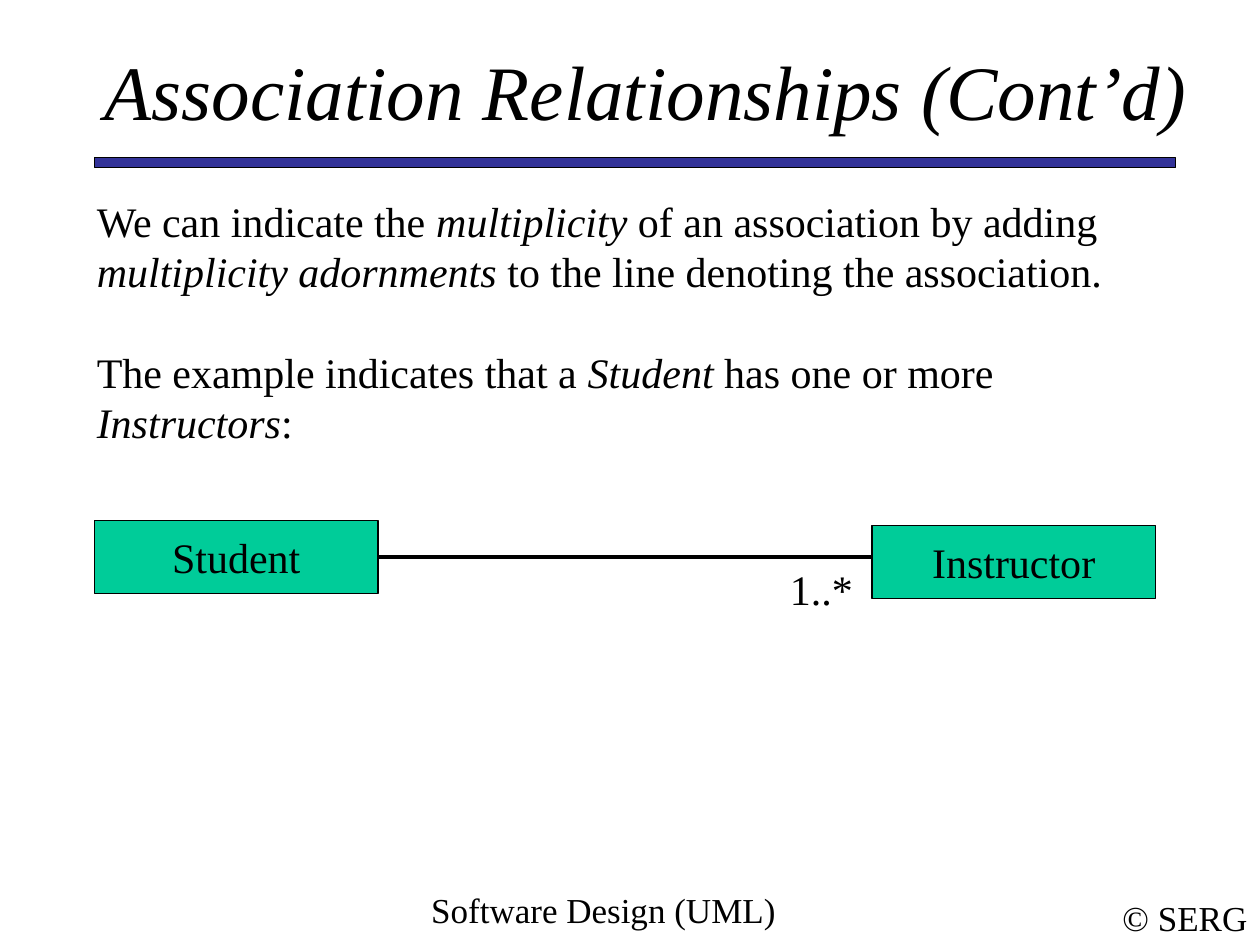
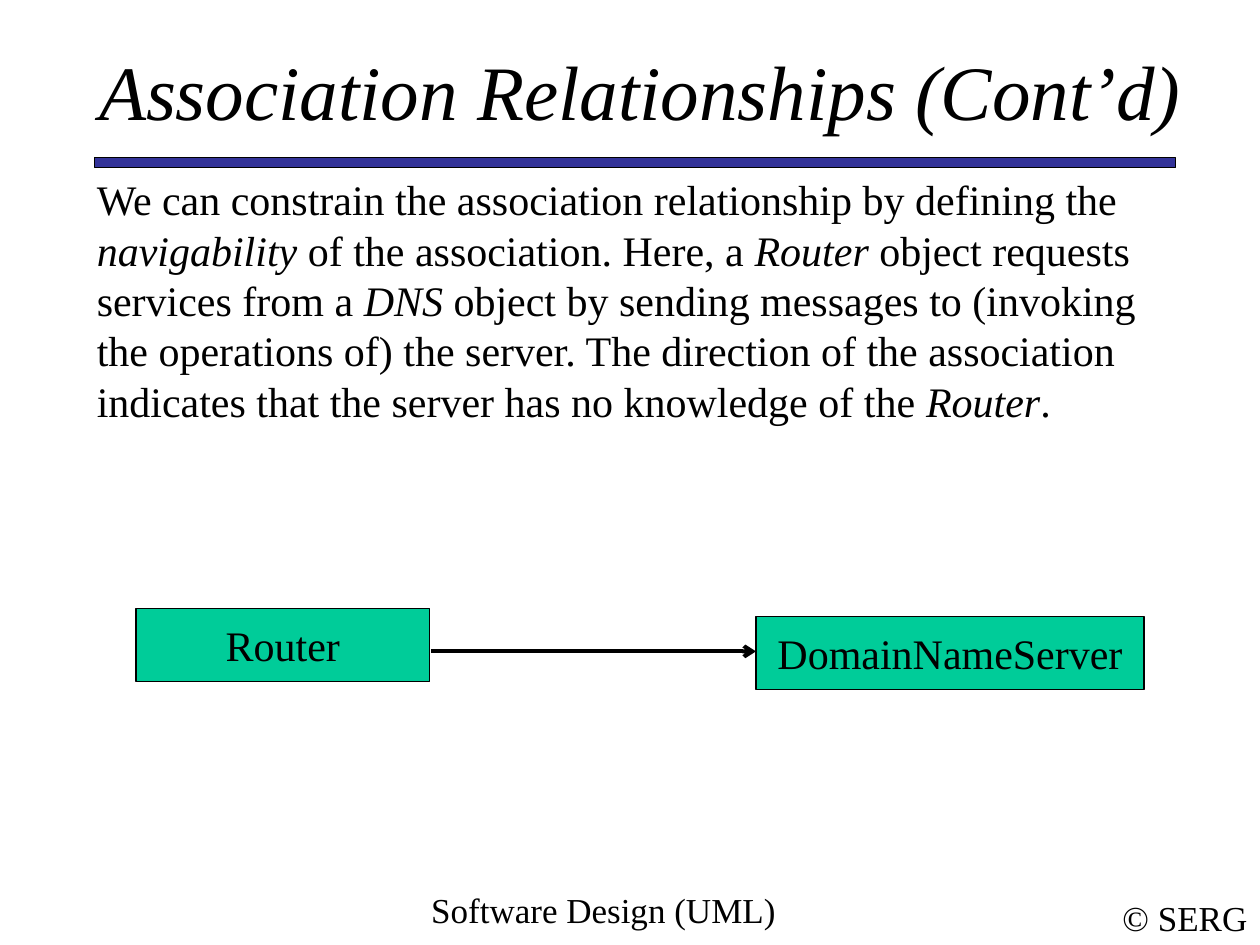
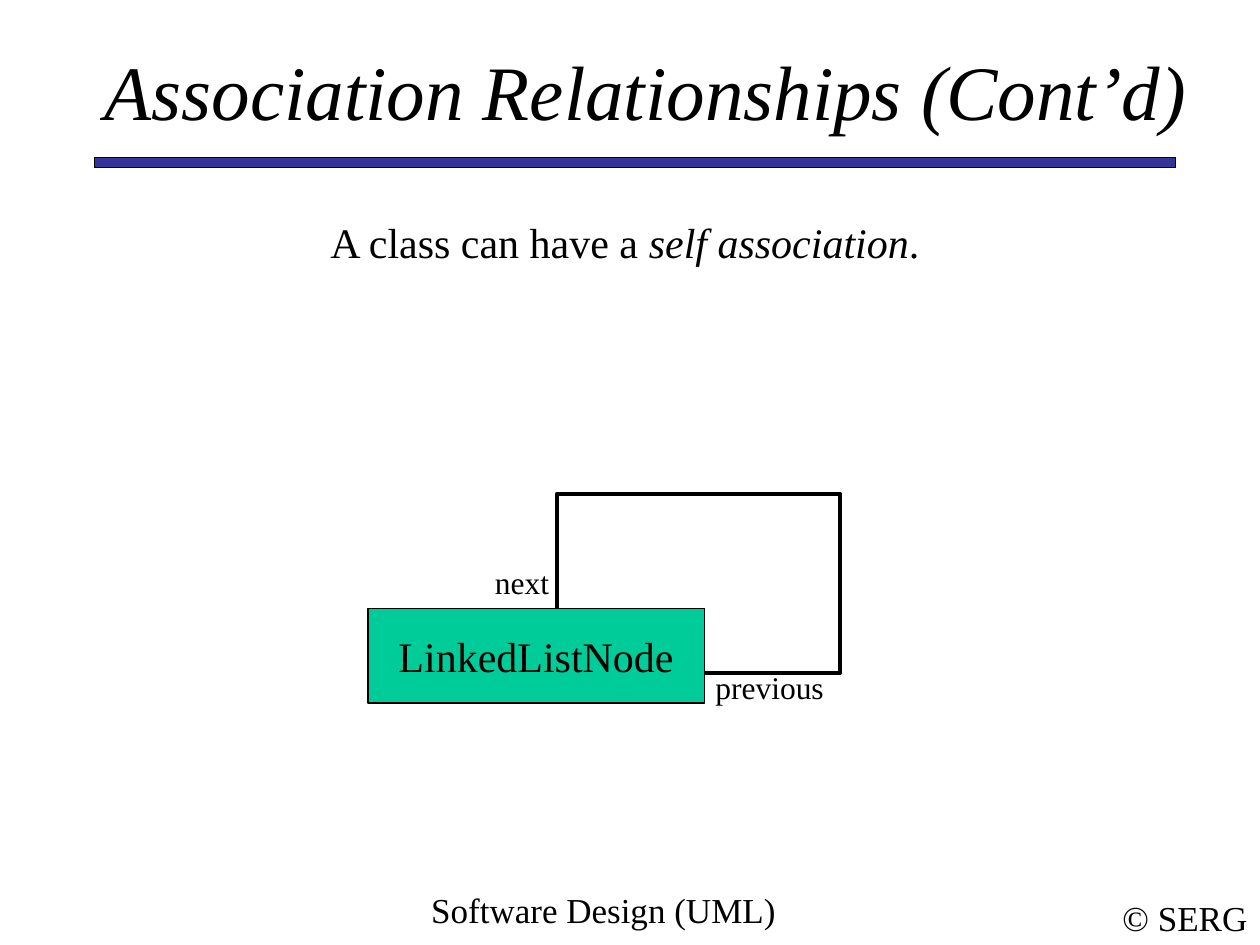
import pptx
import pptx.dml.color
import pptx.enum.shapes
import pptx.enum.text
import pptx.oxml
import pptx.util
from pptx.util import Inches

COLORS = {"text": "000000", "line": "000000", "rule": "333399",
          "class": "00CC99", "paper": "FFFFFF"}
FONT = "Times New Roman"
ANCHOR = pptx.enum.text.MSO_ANCHOR
ALIGN = pptx.enum.text.PP_ALIGN
rgb = pptx.dml.color.RGBColor.from_string


def write_text(shape, text, size, align=ALIGN.LEFT, anchor=ANCHOR.TOP, wrap=True):
    """Fill a shape with paragraphs; underscores enclose italic words."""
    frame = shape.text_frame
    frame.word_wrap = wrap
    frame.vertical_anchor = anchor
    for index, line in enumerate(text.split("\n")):
        paragraph = frame.add_paragraph() if index else frame.paragraphs[0]
        paragraph.alignment = align
        paragraph.font.name = FONT
        paragraph.font.size = pptx.util.Pt(size)
        paragraph.font.color.rgb = rgb(COLORS["text"])
        if index:
            paragraph.space_before = pptx.util.Pt(1.2 * size)
        for position, part in enumerate(line.split("_")):
            if part:
                run = paragraph.add_run()
                run.text = part
                if position % 2:
                    run.font.italic = True


def add_box(slide, box, fill, line_width=0.75):
    """Add an outlined rectangle."""
    shape = slide.shapes.add_shape(
        pptx.enum.shapes.MSO_SHAPE.RECTANGLE, *map(Inches, box))
    shape.shadow.inherit = False
    shape.fill.solid()
    shape.fill.fore_color.rgb = rgb(COLORS[fill])
    shape.line.color.rgb = rgb(COLORS["line"])
    shape.line.width = pptx.util.Pt(line_width)
    return shape


# What each slide shows; boxes are left, top, width, height
slides = [
    {
        "title_width": 8.92,
        "body": ((0.67, 1.5, 8.87, 2.1), ALIGN.LEFT,
                 "We can indicate the _multiplicity_ of an association by adding "
                 "_multiplicity adornments_ to the line denoting the association.\n"
                 "The example indicates that a _Student_ has one or more _Instructors_:"),
        "association": (3, 7, 4.42, False),
        "classes": [("Instructor", (6.92, 4.17, 2.25, 0.58)),
                    ("Student", (0.75, 4.13, 2.25, 0.58))],
        "labels": [("1..*", 24, (6.17, 4.42, 0.75, 0.5))],
    },
    {
        "title_width": 8.83,
        "body": ((0.67, 1.33, 8.87, 2.1), ALIGN.LEFT,
                 "We can constrain the association relationship by defining the "
                 "_navigability_ of the association. Here, a _Router_ object requests "
                 "services from a _DNS_ object by sending messages to (invoking the "
                 "operations of) the server. The direction of the association "
                 "indicates that the server has no knowledge of the _Router_."),
        "association": (3.42, 6, 5.17, True),
        "classes": [("Router", (1.08, 4.83, 2.33, 0.58)),
                    ("DomainNameServer", (6, 4.89, 3.08, 0.58))],
        "labels": [],
    },
    {
        "title_width": 8.92,
        "body": ((0.67, 1.67, 8.58, 0.5), ALIGN.CENTER,
                 "A class can have a _self association_."),
        "self_association": (4.42, 3.92, 2.25, 1.42),
        "classes": [("LinkedListNode", (2.92, 4.83, 2.67, 0.75))],
        "labels": [("next", 18, (3.83, 4.42, 0.67, 0.4)),
                   ("previous", 18, (5.58, 5.25, 1.17, 0.4))],
    },
]

presentation = pptx.Presentation()
presentation.slide_width = Inches(10)
presentation.slide_height = Inches(7.5)

for content in slides:
    slide = presentation.slides.add_slide(presentation.slide_layouts[6])

    # Footers and the rule below the title
    mark = slide.shapes.add_textbox(*map(Inches, (8.81, 7.06, 1.19, 0.44)))
    write_text(mark, "© SERG", 20, ALIGN.CENTER, ANCHOR.MIDDLE, wrap=False)
    add_box(slide, (0.75, 1.25, 8.58, 0.08), "rule")
    footer = slide.shapes.add_textbox(*map(Inches, (2.58, 7, 4.42, 0.5)))
    write_text(footer, "Software Design (UML)", 20, ALIGN.CENTER)

    # Title and body
    title = slide.shapes.add_textbox(
        *map(Inches, (0.67, 0.42, content["title_width"], 0.58)))
    title.text_frame.margin_left = title.text_frame.margin_right = 0
    write_text(title, "_Association Relationships (Cont’d)_", 44,
               ALIGN.CENTER, ANCHOR.MIDDLE)
    body_box, body_align, body_text = content["body"]
    body = slide.shapes.add_textbox(*map(Inches, body_box))
    write_text(body, body_text, 24, body_align)

    # Association between two classes, or from a class to itself
    if "association" in content:
        start, end, height, navigable = content["association"]
        connector = slide.shapes.add_connector(
            pptx.enum.shapes.MSO_CONNECTOR.STRAIGHT,
            *map(Inches, (start, height, end, height)))
        connector.line.color.rgb = rgb(COLORS["line"])
        connector.line.width = pptx.util.Pt(2.25)
        if navigable:
            arrowhead = pptx.oxml.parse_xml(
                '<a:tailEnd xmlns:a="http://schemas.openxmlformats.org/'
                'drawingml/2006/main" type="arrow"/>')
            connector.line._get_or_add_ln().append(arrowhead)
        properties = connector._element.spPr
        properties.append(properties.makeelement(
            pptx.oxml.ns.qn("a:effectLst"), {}))
    else:
        add_box(slide, content["self_association"], "paper", 2.25)

    # Classes and the labels at the line ends
    for name, box in content["classes"]:
        write_text(add_box(slide, box, "class"), name, 24,
                   ALIGN.CENTER, ANCHOR.MIDDLE, wrap=False)
    for label, size, box in content["labels"]:
        write_text(slide.shapes.add_textbox(*map(Inches, box)), label, size)

presentation.save("out.pptx")
